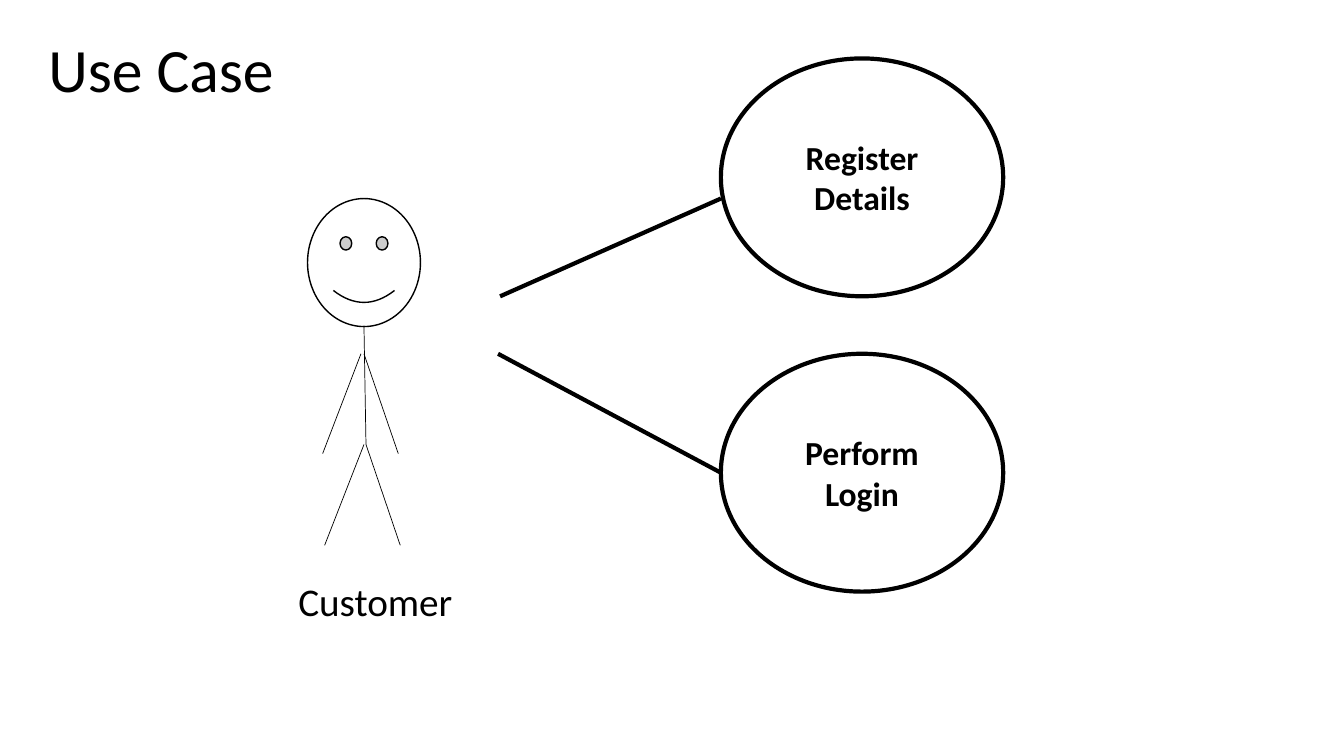
from lxml.etree import SubElement
from pptx import Presentation
from pptx.dml.color import RGBColor
from pptx.enum.shapes import MSO_CONNECTOR, MSO_SHAPE
from pptx.enum.text import MSO_ANCHOR, MSO_AUTO_SIZE, PP_ALIGN
from pptx.oxml.ns import qn
from pptx.util import Inches, Pt

COLORS = {"ink": "000000", "paper": "FFFFFF"}
INK = RGBColor.from_string(COLORS["ink"])
PAPER = RGBColor.from_string(COLORS["paper"])

prs = Presentation()
prs.slide_width, prs.slide_height = Inches(13.33), Inches(7.5)
slide = prs.slides.add_slide(prs.slide_layouts[5])
shapes = slide.shapes


def add_outline(preset, left, top, width, height, weight):
    outline = shapes.add_shape(preset, Inches(left), Inches(top), Inches(width), Inches(height))
    outline.shadow.inherit = False
    outline.fill.solid()
    outline.fill.fore_color.rgb = PAPER
    outline.line.color.rgb = INK
    outline.line.width = Pt(weight)
    return outline


def write(frame, text, size, align, bold=False):
    frame.text = text
    for paragraph in frame.paragraphs:
        paragraph.alignment = align
        for run in paragraph.runs:
            run.font.name = "Calibri"
            run.font.size = Pt(size)
            run.font.bold = bold
            run.font.color.rgb = INK


# Title and actor label
customer = shapes.add_textbox(Inches(2.86), Inches(5.68), Inches(1.75), Inches(0.57))
title = shapes.title
title.left, title.top, title.width, title.height = Inches(0.38), Inches(0.26), Inches(2.46), Inches(0.84)
for label, text, size in [(title, "Use Case", 44), (customer, "Customer", 28)]:
    frame = label.text_frame
    frame.word_wrap = False
    frame.auto_size = MSO_AUTO_SIZE.SHAPE_TO_FIT_TEXT
    frame.vertical_anchor = MSO_ANCHOR.TOP
    write(frame, text, size, PP_ALIGN.LEFT)

# Use cases
for top, text in [(0.58, "Register Details"), (3.51, "Perform\nLogin")]:
    use_case = add_outline(MSO_SHAPE.OVAL, 7.15, top, 2.8, 2.36, 3)
    use_case.text_frame.word_wrap = True
    use_case.text_frame.vertical_anchor = MSO_ANCHOR.MIDDLE
    write(use_case.text_frame, text, 24, PP_ALIGN.CENTER, bold=True)

# Customer's head
add_outline(MSO_SHAPE.SMILEY_FACE, 3.05, 1.97, 1.12, 1.27, 1)

# Customer's body and limbs, then the associations
limbs = [
    (3.61, 3.23, 3.63, 4.41),
    (3.63, 4.41, 3.97, 5.41),
    (3.61, 4.41, 3.22, 5.41),
    (3.61, 3.51, 3.95, 4.5),
    (3.58, 3.51, 3.2, 4.5),
]
associations = [(4.96, 2.94, 7.15, 1.97), (4.94, 3.51, 7.15, 4.69)]
for weight, strokes in [(0.5, limbs), (3, associations)]:
    for ends in strokes:
        stroke = shapes.add_connector(MSO_CONNECTOR.STRAIGHT, *[Inches(end) for end in ends])
        stroke.line.color.rgb = INK
        stroke.line.width = Pt(weight)
        SubElement(stroke._element.spPr, qn("a:effectLst"))

prs.save("out.pptx")
